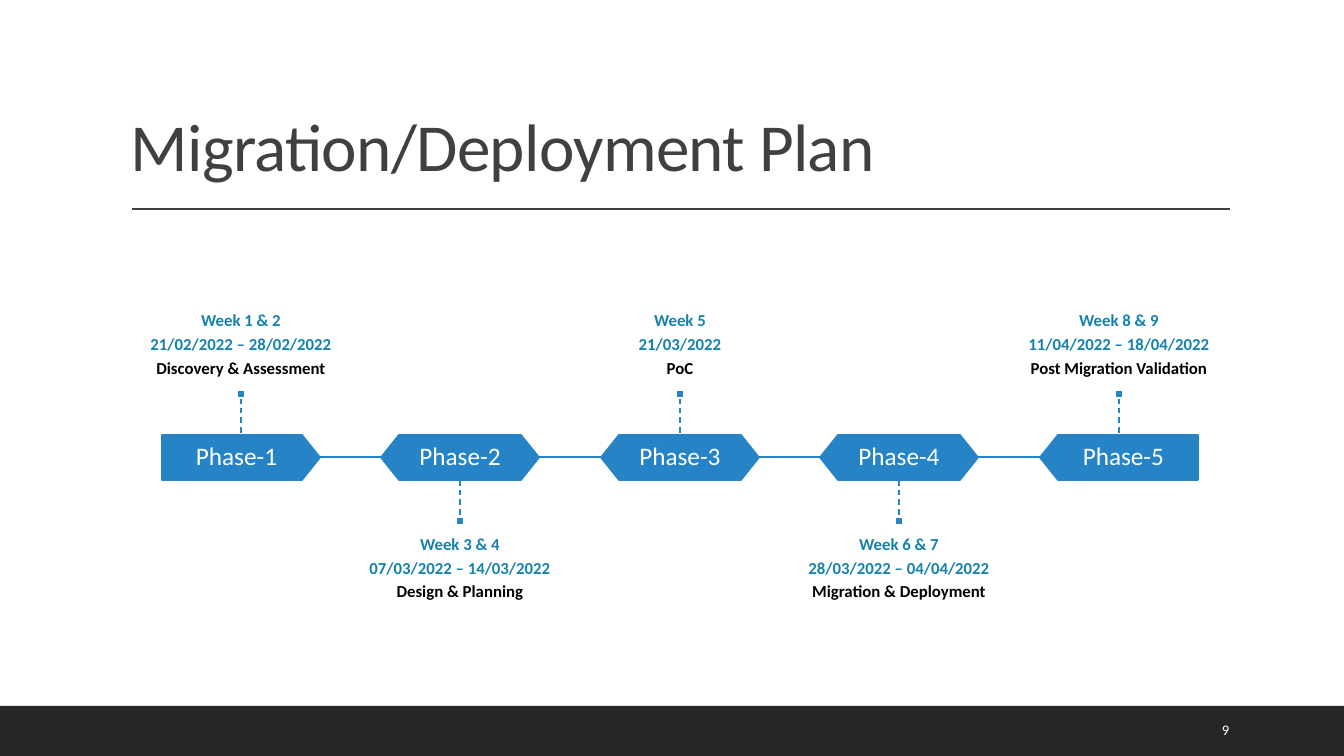
import pptx
import pptx.util
import pptx.dml.color
import pptx.enum.dml
import pptx.enum.shapes
import pptx.enum.text
import pptx.oxml.ns
import lxml.etree

PX = 914400 / 100.8
BLUE, TEAL, DARK, WHITE = "2683C6", "1482AC", "404040", "FFFFFF"
Shape = pptx.enum.shapes.MSO_SHAPE
Anchor = pptx.enum.text.MSO_ANCHOR
CENTER = pptx.enum.text.PP_ALIGN.CENTER


def px(*lengths):
    return [pptx.util.Emu(round(length * PX)) for length in lengths]


def color(hex_string):
    return pptx.dml.color.RGBColor.from_string(hex_string)


deck = pptx.Presentation()
deck.slide_width, deck.slide_height = px(1344, 756)
page = deck.slides.add_slide(deck.slide_layouts[6])

# Footer bar
footer = page.shapes.add_shape(Shape.RECTANGLE, *px(0, 706, 1344, 50))
footer.shadow.inherit = False
footer.fill.solid()
footer.fill.fore_color.rgb = color("262626")
footer.line.fill.background()

# Title and page number
for text, place, anchor, size, ink, spacing in [
    ("Migration/Deployment Plan", (121, 31, 1109, 160), Anchor.BOTTOM, 48, DARK, -50),
    ("9", (1212, 711, 86, 40), Anchor.MIDDLE, 10.5, WHITE, 0),
]:
    frame = page.shapes.add_textbox(*px(*place)).text_frame
    frame.word_wrap = True
    frame.vertical_anchor = anchor
    para = frame.paragraphs[0]
    para.line_spacing = 0.9
    para.font.name = "Calibri"
    para.font.size = pptx.util.Pt(size)
    para.font.color.rgb = color(ink)
    span = para.add_run()
    span.text = text
    span.font._element.set("spc", str(spacing))

# Phases: preset shape, lines of the caption
phases = [
    (Shape.PENTAGON, "Week 1 & 2", "21/02/2022 – 28/02/2022", "Discovery & Assessment"),
    (Shape.HEXAGON, "Week 3 & 4", "07/03/2022 – 14/03/2022", "Design & Planning"),
    (Shape.HEXAGON, "Week 5", "21/03/2022", "PoC"),
    (Shape.HEXAGON, "Week 6 & 7", "28/03/2022 – 04/04/2022", "Migration & Deployment"),
    (Shape.PENTAGON, "Week 8 & 9", "11/04/2022 – 18/04/2022", "Post Migration Validation"),
]
TOP, WIDTH, HEIGHT = 435, 158, 45
MIDDLE = TOP + HEIGHT // 2
lefts = [162 + 439 * index // 2 for index in range(len(phases))]
above = [index % 2 == 0 for index in range(len(phases))]

# Title rule, links between phases and dashed stems
lines = [((132, 209, 1230, 209), DARK, 1, False)]
for left, following in zip(lefts, lefts[1:]):
    lines.append(((left + WIDTH, MIDDLE, following, MIDDLE), BLUE, 1.25, False))
for left, is_above in zip(lefts, above):
    center = left + WIDTH // 2
    start, end = (398, TOP) if is_above else (TOP + HEIGHT, 517)
    lines.append(((center, start, center, end), BLUE, 1, True))
for ends, ink, weight, dashed in lines:
    line = page.shapes.add_connector(pptx.enum.shapes.MSO_CONNECTOR.STRAIGHT, *px(*ends))
    line.line.color.rgb = color(ink)
    line.line.width = pptx.util.Pt(weight)
    if dashed:
        line.line.dash_style = pptx.enum.dml.MSO_LINE.DASH
    lxml.etree.SubElement(line._element.spPr, pptx.oxml.ns.qn("a:effectLst"))

for index, (preset, *caption) in enumerate(phases):
    left = lefts[index]

    # Phase shape and the marker at the end of its stem
    phase = page.shapes.add_shape(preset, *px(left, TOP, WIDTH, HEIGHT))
    phase.adjustments[0] = 0.4
    marker_top = 390 if above[index] else 517
    marker = page.shapes.add_shape(
        Shape.RECTANGLE, *px(left + WIDTH // 2 - 4, marker_top, 8, 8))
    for box, outline in [(phase, BLUE), (marker, WHITE)]:
        box.shadow.inherit = False
        box.fill.solid()
        box.fill.fore_color.rgb = color(BLUE)
        box.line.color.rgb = color(outline)
        box.line.width = pptx.util.Pt(1.25)
    if index == len(phases) - 1:
        phase._element.spPr.xfrm.set("flipH", "1")

    frame = phase.text_frame
    frame.margin_left = frame.margin_right = frame.margin_top = frame.margin_bottom = 0
    frame.vertical_anchor = Anchor.MIDDLE
    para = frame.paragraphs[0]
    para.text = f"Phase-{index + 1}"
    para.alignment = CENTER
    para.line_spacing = 0.9
    para.font.name = "Calibri"
    para.font.size = pptx.util.Pt(18)
    para.font.color.rgb = color(WHITE)

    # Caption above or below
    caption_top = 271 if above[index] else 524
    frame = page.shapes.add_textbox(*px(left - 31, caption_top, 220, 119)).text_frame
    frame.word_wrap = True
    frame.vertical_anchor = Anchor.BOTTOM if above[index] else Anchor.TOP
    frame.margin_left = frame.margin_right = 0
    frame.margin_top, frame.margin_bottom = px(12, 12)
    for row, text in enumerate(caption):
        para = frame.add_paragraph() if row else frame.paragraphs[0]
        para.text = text
        para.alignment = CENTER
        para.line_spacing = 0.9
        para.space_after = pptx.util.Pt(4)
        para.font.name = "Calibri"
        para.font.size = pptx.util.Pt(12)
        para.font.bold = True
        para.font.color.rgb = color("000000" if row == 2 else TEAL)

deck.save("out.pptx")
